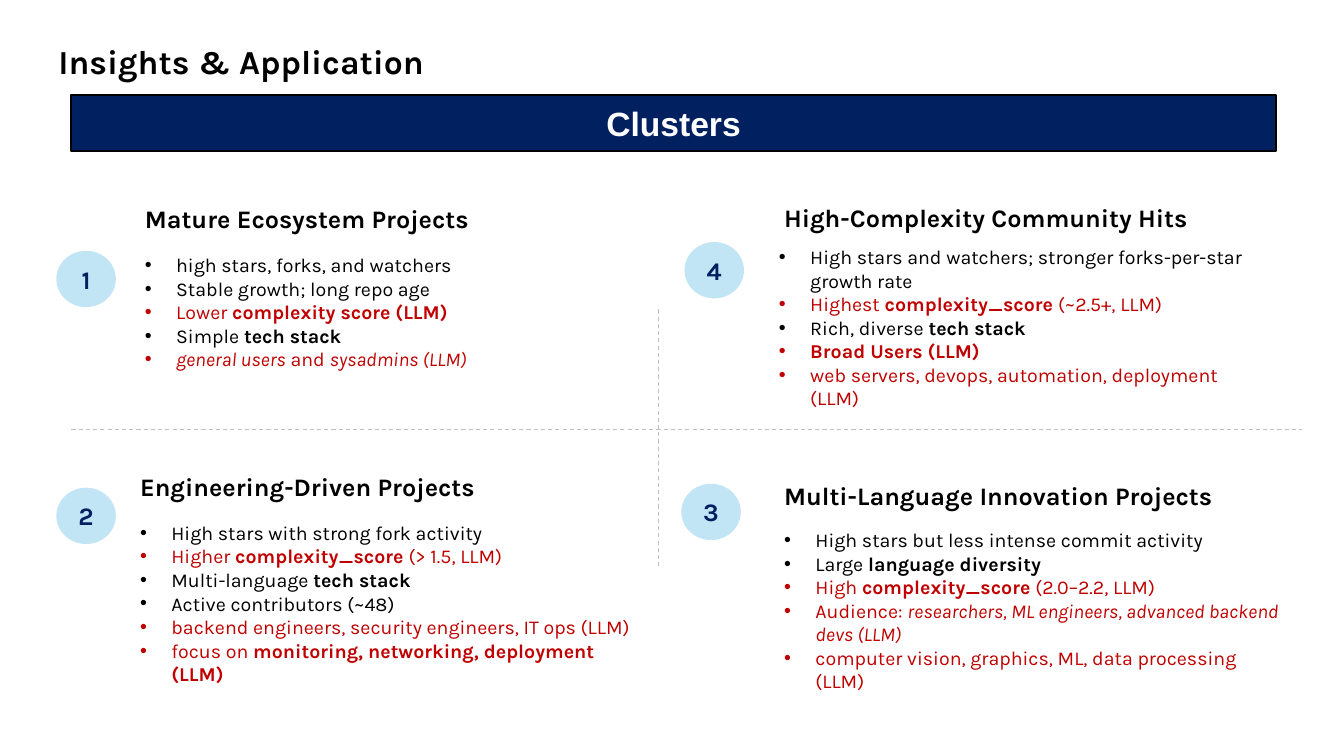
from pptx import Presentation
from pptx import util as u
from pptx.dml.color import RGBColor
from pptx.enum import dml, shapes, text
from pptx.oxml.ns import qn
from lxml import etree

BLACK, RED, NAVY, WHITE = "000000", "C00000", "002060", "FFFFFF"
PALE_BLUE, GREY = "C1E5F5", "BFBFBF"


def colour(value):
    return RGBColor.from_string(value)


def styled_parts(line):
    """Yield (text, bold, italic); *...* marks bold and /.../ marks italic."""
    for i, chunk in enumerate(line.split("*")):
        for j, part in enumerate(chunk.split("/")):
            if part:
                yield part, i % 2 == 1, j % 2 == 1


class SlideBuilder:
    font = "Karla"
    indent = u.Cm(0.79)

    def __init__(self, slide):
        self.slide = slide

    def style(self, font, size, value, bold=False, italic=False, name=None):
        font.name = name or self.font
        font.size = u.Pt(size)
        font.color.rgb = colour(value)
        font.bold = bold
        font.italic = italic

    def text_box(self, left, top, width, height):
        box = self.slide.shapes.add_textbox(*map(u.Cm, (left, top, width, height)))
        box.text_frame.word_wrap = True
        return box.text_frame

    def heading(self, label, left, top, width, height=1.02, size=18):
        frame = self.text_box(left, top, width, height)
        frame.text = label
        self.style(frame.paragraphs[0].runs[0].font, size, BLACK, bold=True)

    def shape(self, kind, label, left, top, width, height, fill, ink, size,
              line=None, name=None):
        shape = self.slide.shapes.add_shape(
            kind, *map(u.Cm, (left, top, width, height)))
        shape.shadow.inherit = False
        shape.fill.solid()
        shape.fill.fore_color.rgb = colour(fill)
        if line:
            shape.line.color.rgb = colour(line)
            shape.line.width = u.Pt(1.5)
        else:
            shape.line.fill.background()
        frame = shape.text_frame
        frame.vertical_anchor = text.MSO_ANCHOR.MIDDLE
        frame.text = label
        para = frame.paragraphs[0]
        para.alignment = text.PP_ALIGN.CENTER
        self.style(para.runs[0].font, size, ink, bold=True, name=name)

    def badge(self, number, left, top):
        self.shape(shapes.MSO_SHAPE.OVAL, str(number), left, top, 1.5, 1.42,
                   PALE_BLUE, NAVY, 18)

    def bullets(self, lines, left, top, width, height):
        frame = self.text_box(left, top, width, height)
        for index, (ink, line) in enumerate(lines):
            para = frame.add_paragraph() if index else frame.paragraphs[0]
            props = para._p.get_or_add_pPr()
            props.set("marL", str(self.indent))
            props.set("indent", str(-self.indent))
            etree.SubElement(props, qn("a:buFont"), typeface="Arial")
            etree.SubElement(props, qn("a:buChar"), char="•")
            for part, bold, italic in styled_parts(line):
                span = para.add_run()
                span.text = part
                self.style(span.font, 14, ink, bold, italic)

    def divider(self, *ends):
        line = self.slide.shapes.add_connector(
            shapes.MSO_CONNECTOR.STRAIGHT, *map(u.Cm, ends))
        line.line.color.rgb = colour(GREY)
        line.line.width = u.Pt(0.75)
        line.line.dash_style = dml.MSO_LINE.DASH
        etree.SubElement(line._element.spPr, qn("a:effectLst"))


# number, badge position, heading with its box, list box, list lines
CLUSTERS = [
    (1, (1.42, 6.32), ("Mature Ecosystem Projects", 3.4, 5, 10.39),
     (3.4, 6.25, 14.17, 3.25), [
        (BLACK, "high stars, forks, and watchers"),
        (BLACK, "Stable growth; long repo age"),
        (RED, "Lower *complexity score (LLM)*"),
        (BLACK, "Simple *tech stack*"),
        (RED, "/general users/ and /sysadmins (LLM)/")]),
    (2, (1.42, 12.29), ("Engineering-Driven Projects", 3.28, 11.76, 9.32),
     (3.28, 13, 13.31, 3.84), [
        (BLACK, "High stars with strong fork activity"),
        (RED, "Higher *complexity_score* (> 1.5, LLM)"),
        (BLACK, "Multi-language *tech stack*"),
        (BLACK, "Active contributors (~48)"),
        (RED, "backend engineers, security engineers, IT ops (LLM)"),
        (RED, "focus on *monitoring, networking, deployment (LLM)*")]),
    (3, (17.17, 12.19), ("Multi-Language Innovation Projects", 19.51, 11.99, 11.91),
     (19.51, 13.18, 13.16, 3.84), [
        (BLACK, "High stars but less intense commit activity"),
        (BLACK, "Large *language diversity*"),
        (RED, "High *complexity_score* (2.0–2.2, LLM)"),
        (RED, "Audience: /researchers, ML engineers, advanced backend devs (LLM)/"),
        (RED, "computer vision, graphics, ML, data processing (LLM)")]),
    (4, (17.25, 6.1), ("High-Complexity Community Hits", 19.51, 4.98, 10.97),
     (19.38, 6.05, 12.78, 3.84), [
        (BLACK, "High stars and watchers; stronger forks-per-star growth rate"),
        (RED, "Highest *complexity_score* (~2.5+, LLM)"),
        (BLACK, "Rich, diverse *tech stack*"),
        (RED, "*Broad Users (LLM)*"),
        (RED, "web servers, devops, automation, deployment (LLM)")]),
]


def main():
    deck = Presentation()
    deck.slide_width, deck.slide_height = u.Cm(33.87), u.Cm(19.05)
    page = SlideBuilder(deck.slides.add_slide(deck.slide_layouts[6]))

    page.heading("Insights & Application", 1.22, 0.91, 16.94, 1.27, size=24)
    page.shape(shapes.MSO_SHAPE.RECTANGLE, "Clusters", 1.8, 2.39, 30.35, 1.42,
               NAVY, WHITE, 24, line=BLACK, name="Arial")
    page.divider(1.8, 10.82, 32.82, 10.82)
    page.divider(16.59, 14.27, 16.59, 7.75)
    for number, badge_at, heading, list_box, lines in CLUSTERS:
        page.badge(number, *badge_at)
        page.heading(*heading)
        page.bullets(lines, *list_box)

    deck.save("out.pptx")


if __name__ == "__main__":
    main()
